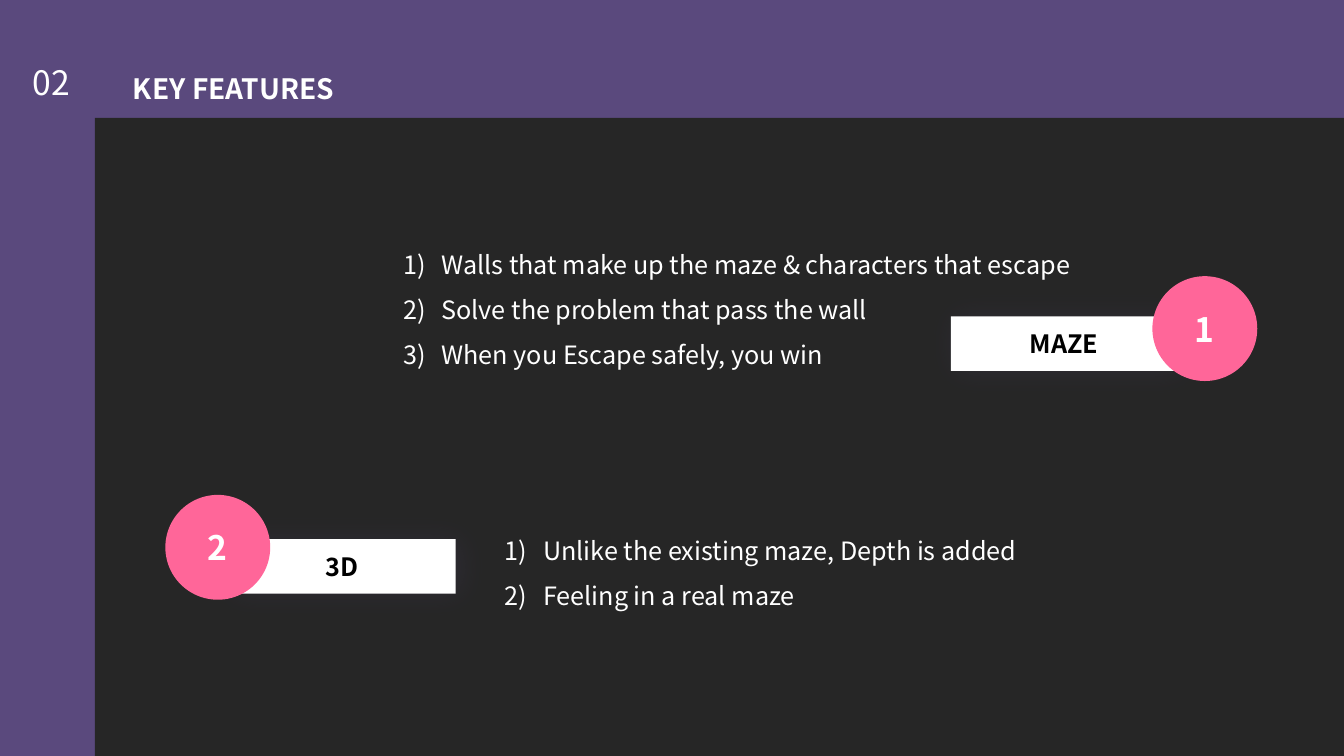
from dataclasses import dataclass

from lxml.etree import SubElement
from pptx import Presentation
from pptx.dml.color import RGBColor
from pptx.enum.shapes import MSO_SHAPE
from pptx.enum.text import MSO_ANCHOR, MSO_AUTO_SIZE, PP_ALIGN
from pptx.oxml.ns import qn
from pptx.shapes.autoshape import Shape
from pptx.slide import Slide
from pptx.util import Inches, Pt

FONT = "Noto Sans CJK KR"
COLORS = {
    "purple": "5A497D",
    "dark": "262626",
    "pink": "FF6699",
    "white": "FFFFFF",
    "black": "000000",
}
LABEL_SIZE = (2.25, 0.54)
BADGE_SIZE = (1.04, 1.04)


@dataclass
class Feature:
    """A numbered feature with its label and list of points."""

    number: str
    title: str
    label_at: tuple[float, float]
    badge_at: tuple[float, float]
    points_box: tuple[float, float, float, float]
    points: list[str]


FEATURES = [
    Feature("2", "3D", (2.27, 5.35), (1.64, 4.91), (4.91, 5.11, 6.03, 0.96),
            ["Unlike the existing maze, Depth is added",
             "Feeling in a real maze"]),
    Feature("1", "MAZE", (9.43, 3.14), (11.43, 2.74), (3.9, 2.27, 7.59, 1.42),
            ["Walls that make up the maze & characters that escape",
             "Solve the problem that pass the wall",
             "When you Escape safely, you win"]),
]


def rgb(name: str) -> RGBColor:
    """Return the named colour."""
    return RGBColor.from_string(COLORS[name])


def write(sp: Shape, *lines: str, size: float = 18, color: str = "white",
          bold: bool = False, align: PP_ALIGN = PP_ALIGN.LEFT,
          spacing: float = 1.0, numbered: bool = False) -> None:
    """Fill a shape with formatted paragraphs."""
    tf = sp.text_frame
    tf.word_wrap = True
    for i, line in enumerate(lines):
        p = tf.add_paragraph() if i else tf.paragraphs[0]
        if numbered:
            pPr = p._p.get_or_add_pPr()
            pPr.set("marL", str(Inches(0.38)))
            pPr.set("indent", str(Inches(-0.38)))
            SubElement(pPr, qn("a:buFont"), typeface="+mj-lt")
            SubElement(pPr, qn("a:buAutoNum"), type="arabicParenR")
        p.alignment = align
        p.line_spacing = spacing
        r = p.add_run()
        r.text = line
        r.font.name = FONT
        r.font.size = Pt(size)
        r.font.bold = bold
        r.font.color.rgb = rgb(color)


def add_text(s: Slide, box: tuple[float, ...]) -> Shape:
    """Add a text box that grows with its text."""
    sp = s.shapes.add_textbox(*map(Inches, box))
    sp.text_frame.auto_size = MSO_AUTO_SIZE.SHAPE_TO_FIT_TEXT
    return sp


def add_block(s: Slide, kind: MSO_SHAPE, box: tuple[float, ...], fill: str) -> Shape:
    """Add a plain filled shape."""
    sp = s.shapes.add_shape(kind, *map(Inches, box))
    sp.shadow.inherit = False
    sp.fill.solid()
    sp.fill.fore_color.rgb = rgb(fill)
    sp.line.fill.background()
    sp.text_frame.vertical_anchor = MSO_ANCHOR.MIDDLE
    return sp


def add_glow_shadow(sp: Shape) -> None:
    """Give a shape a soft purple shadow."""
    effects = sp._element.spPr.find(qn("a:effectLst"))
    shadow = SubElement(effects, qn("a:outerShdw"), blurRad=str(Pt(23)),
                        dist=str(Pt(3)), dir="0", algn="ctr", rotWithShape="0")
    color = SubElement(shadow, qn("a:srgbClr"), val=COLORS["purple"])
    SubElement(color, qn("a:alpha"), val="17000")


def add_feature(s: Slide, feature: Feature) -> None:
    """Draw the label, badge and points of a feature."""
    label = add_block(s, MSO_SHAPE.RECTANGLE, feature.label_at + LABEL_SIZE, "white")
    add_glow_shadow(label)
    write(label, feature.title, color="black", bold=True, align=PP_ALIGN.CENTER)
    points = add_text(s, feature.points_box)
    write(points, *feature.points, spacing=1.5, numbered=True)
    badge = add_block(s, MSO_SHAPE.OVAL, feature.badge_at + BADGE_SIZE, "pink")
    write(badge, feature.number, size=24, bold=True, align=PP_ALIGN.CENTER)


def main() -> None:
    """Build the slide and save it."""
    prs = Presentation()
    prs.slide_width, prs.slide_height = Inches(13.33), Inches(7.5)
    s = prs.slides.add_slide(prs.slide_layouts[6])
    s.background.fill.solid()
    s.background.fill.fore_color.rgb = rgb("purple")

    add_block(s, MSO_SHAPE.RECTANGLE, (0.94, 1.17, 12.39, 6.33), "dark")
    write(add_text(s, (1.22, 0.49, 4.6, 0.55)), "KEY FEATURES",
          size=20, bold=True, spacing=1.5)
    for feature in FEATURES:
        add_feature(s, feature)
    write(add_text(s, (0.08, 0.57, 0.86, 0.5)), "02",
          size=24, align=PP_ALIGN.CENTER)
    prs.save("out.pptx")


if __name__ == "__main__":
    main()
